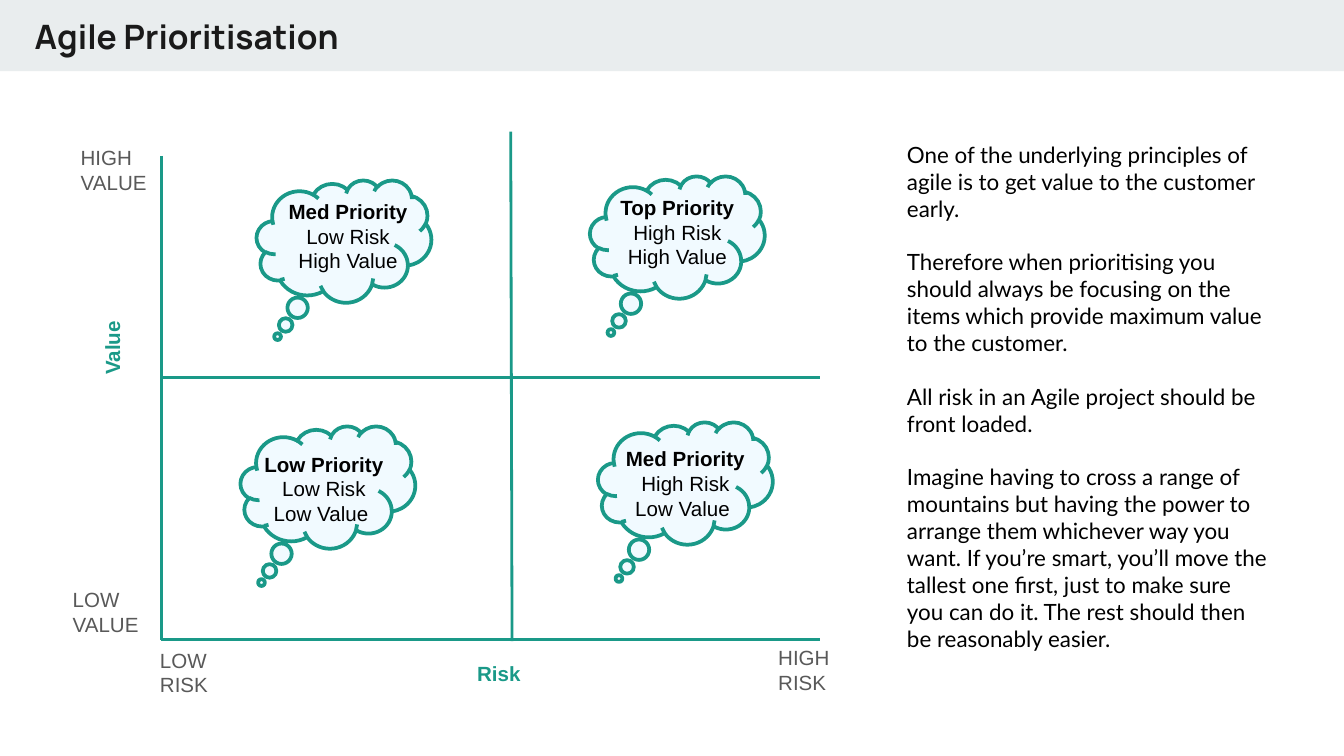
import pptx
import pptx.util
import pptx.dml.color
import pptx.enum.shapes
import pptx.enum.text
import lxml.etree

Inches, Pt = pptx.util.Inches, pptx.util.Pt
RGBColor = pptx.dml.color.RGBColor
MSO_SHAPE = pptx.enum.shapes.MSO_SHAPE
ANCHOR = pptx.enum.text.MSO_ANCHOR
CENTER = pptx.enum.text.PP_ALIGN.CENTER
A = "{http://schemas.openxmlformats.org/drawingml/2006/main}"

TEAL = RGBColor(0x1A, 0x99, 0x88)
SKY = RGBColor(0xC5, 0xED, 0xFF)
GREY = RGBColor(0x59, 0x59, 0x59)
INK = RGBColor(0x1A, 0x1A, 0x1A)
BLACK = RGBColor(0, 0, 0)
BAND = RGBColor(0xE9, 0xED, 0xEE)

# Content
TITLE = "Agile Prioritisation"
CLOUD_SIZE = (1.3, 0.91)
LABEL_SIZE = (1.18, 0.61)
# cloud corner, label corner, label lines
QUADRANTS = [
    ((4.45, 3.14), (4.51, 3.28), ["Med Priority", "High Risk", "Low Value "]),
    ((4.39, 1.31), (4.45, 1.41), ["Top Priority", "High Risk", "High Value"]),
    ((1.91, 1.34), (2.0, 1.44), ["Med Priority", "Low Risk", "High Value"]),
    ((1.79, 3.17), (1.82, 3.32), ["Low Priority", "Low Risk", "Low Value "]),
]
# x1, y1, x2, y2
GRID_LINES = [
    (1.2, 1.16, 1.2, 4.76),
    (1.2, 4.76, 6.1, 4.76),
    (3.8, 0.98, 3.81, 4.77),
    (1.2, 2.81, 6.1, 2.81),
]
AXIS_ENDS = [
    ((1.12, 4.78), ["LOW RISK"]),
    ((5.72, 4.76), ["HIGH RISK"]),
    ((0.47, 4.33), ["LOW", "VALUE"]),
    ((0.53, 1.04), ["HIGH", "VALUE"]),
]
# box, rotation, name
AXIS_NAMES = [
    ((3.48, 4.88, 0.65, 0.25), 0, "Risk"),
    ((0.44, 2.27, 0.85, 0.33), 270, "Value"),
]
ADVICE = [
    "One of the underlying principles of agile is to get value to the customer early.",
    "Therefore when prioritising you should always be focusing on the items which "
    "provide maximum value to the customer.",
    "All risk in an Agile project should be front loaded.",
    "Imagine having to cross a range of mountains but having the power to arrange them "
    "whichever way you want. If you’re smart, you’ll move the tallest one first, just to "
    "make sure you can do it. The rest should then be reasonably easier.",
]

# Text formats
LABEL = {"name": "Arial", "size": Pt(11)}
HEADING = {"name": "Manrope", "size": Pt(18), "bold": True}
BODY = {"name": "Lato", "size": Pt(12)}
LABEL_INSETS = (0.07, 0.04)
WIDE_INSETS = (0.1, 0.1)

# Widescreen slide, 16:9
deck = pptx.Presentation()
deck.slide_width = Inches(10)
deck.slide_height = Inches(10) * 9 // 16
slide = deck.slides.add_slide(deck.slide_layouts[6])


def add_text(box, lines, font, color, insets=LABEL_INSETS, gap=0,
             align=None, anchor=ANCHOR.TOP, bold_first=False):
    holder = slide.shapes.add_textbox(*map(Inches, box))
    frame = holder.text_frame
    side, end = map(Inches, insets)
    settings = {"word_wrap": True, "vertical_anchor": anchor, "margin_left": side,
                "margin_right": side, "margin_top": end, "margin_bottom": end}
    for key, value in settings.items():
        setattr(frame, key, value)
    for i, line in enumerate(lines):
        paragraph = frame.paragraphs[0] if i == 0 else frame.add_paragraph()
        paragraph.alignment = align
        if i and gap:
            paragraph.space_before = Pt(gap)
        run = paragraph.add_run()
        run.text = line
        for key, value in font.items():
            setattr(run.font, key, value)
        if bold_first and i == 0:
            run.font.bold = True
        run.font.color.rgb = color
    return holder


# Title band
band = slide.shapes.add_shape(MSO_SHAPE.RECTANGLE, 0, 0, Inches(10), Inches(0.53))
band.shadow.inherit = False
band.fill.solid()
band.fill.fore_color.rgb = BAND
band.line.fill.background()
add_text((0.16, -0.03, 8.41, 0.59), [TITLE], HEADING, INK, WIDE_INSETS,
         anchor=ANCHOR.MIDDLE)

# Thought clouds
for corner, _, _ in QUADRANTS:
    cloud = slide.shapes.add_shape(MSO_SHAPE.CLOUD_CALLOUT,
                                   *map(Inches, corner + CLOUD_SIZE))
    cloud.shadow.inherit = False
    cloud.adjustments[0], cloud.adjustments[1] = -0.38, 0.78
    cloud.fill.solid()
    cloud.fill.fore_color.rgb = SKY
    tint = cloud.fill._xPr.find(f"{A}solidFill/{A}srgbClr")
    lxml.etree.SubElement(tint, f"{A}alpha", val="24000")
    cloud.line.color.rgb = TEAL
    cloud.line.width = Pt(2)

# Axes and dividers
for ends in GRID_LINES:
    line = slide.shapes.add_connector(pptx.enum.shapes.MSO_CONNECTOR.STRAIGHT,
                                      *map(Inches, ends))
    line.line.color.rgb = TEAL
    line.line.width = Pt(1.5)
    lxml.etree.SubElement(line._element.spPr, f"{A}effectLst")

# Cloud labels
for _, corner, lines in QUADRANTS:
    add_text(corner + LABEL_SIZE, lines, LABEL, BLACK, align=CENTER, bold_first=True)

# Axis labels
for box, rotation, name in AXIS_NAMES:
    add_text(box, [name], LABEL, TEAL, bold_first=True).rotation = rotation
for corner, lines in AXIS_ENDS:
    add_text(corner + (0.65, 0.43), lines, LABEL, GREY)

# Advice column
add_text((6.65, 0.95, 2.92, 4.24), ADVICE, BODY, BLACK, WIDE_INSETS, gap=14.4)

deck.save("out.pptx")
